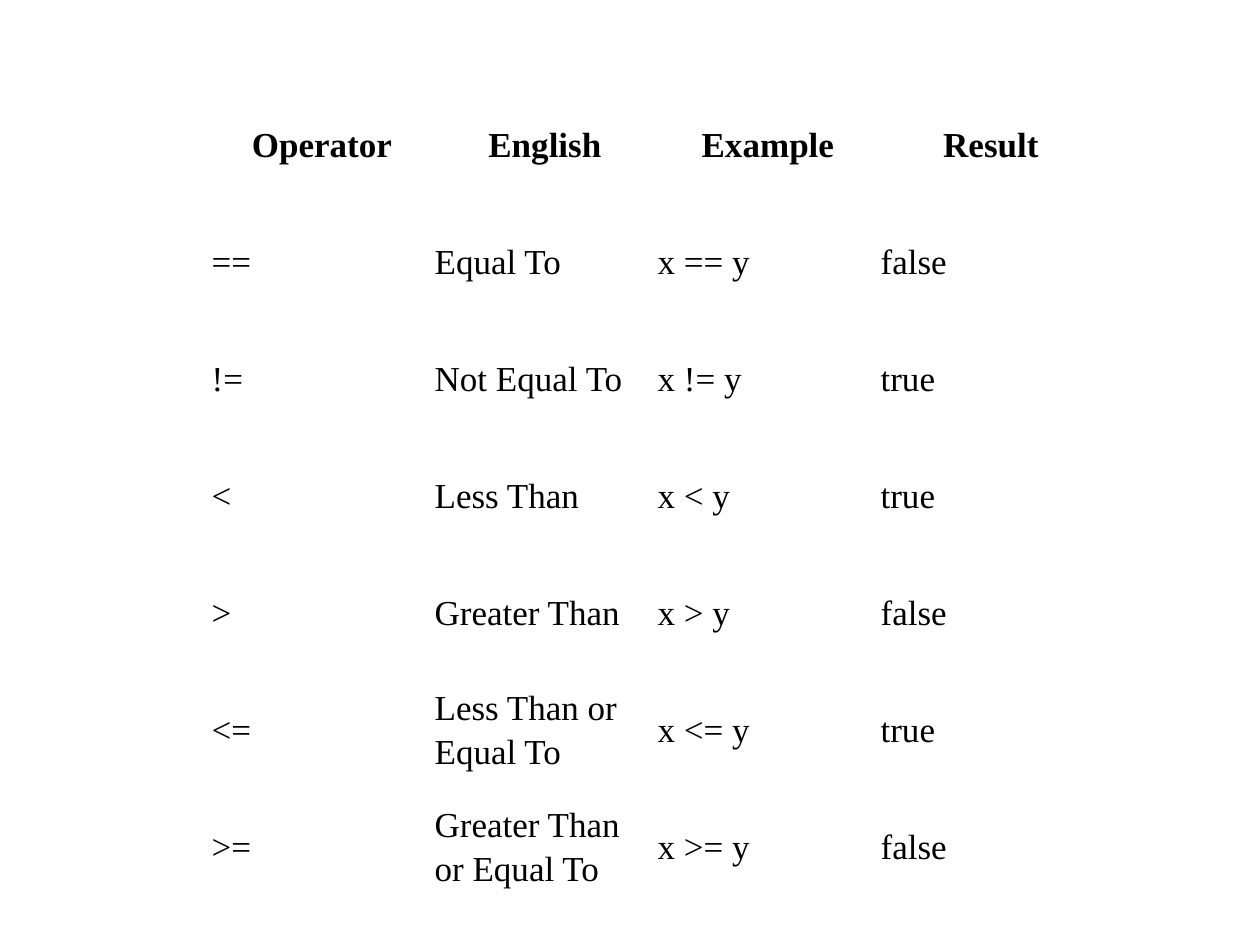
from typing import NamedTuple

from pptx import Presentation
from pptx.dml.color import RGBColor
from pptx.enum.text import MSO_ANCHOR, PP_ALIGN
from pptx.util import Inches, Pt

BLACK = RGBColor(0x00, 0x00, 0x00)
WHITE = RGBColor(0xFF, 0xFF, 0xFF)
FONT = "Times New Roman"


class Comparison(NamedTuple):
    operator: str
    english: str
    example: str
    result: str


HEADER = Comparison("Operator", "English", "Example", "Result")
COMPARISONS = [
    Comparison("==", "Equal To", "x == y", "false"),
    Comparison("!=", "Not Equal To", "x != y", "true"),
    Comparison("<", "Less Than", "x < y", "true"),
    Comparison(">", "Greater Than", "x > y", "false"),
    Comparison("<=", "Less Than or Equal To", "x <= y", "true"),
    Comparison(">=", "Greater Than or Equal To", "x >= y", "false"),
]


def fill_cell(cell, text: str, is_header: bool) -> None:
    cell.fill.solid()
    cell.fill.fore_color.rgb = WHITE
    cell.vertical_anchor = MSO_ANCHOR.MIDDLE
    cell.margin_left = cell.margin_right = Inches(0.01)
    cell.margin_top = cell.margin_bottom = Inches(0.05)
    cell.text_frame.text = text
    p = cell.text_frame.paragraphs[0]
    p.alignment = PP_ALIGN.CENTER if is_header else PP_ALIGN.LEFT
    p.line_spacing = 1.15
    p.space_after = Pt(10)
    r = p.runs[0]
    r.font.name = FONT
    r.font.size = Pt(20)
    r.font.bold = is_header
    r.font.color.rgb = BLACK


def add_operator_table(s, rows: list[Comparison]) -> None:
    table = s.shapes.add_table(
        len(rows), len(HEADER), Inches(1.67), Inches(0.67), Inches(7.08), Inches(6.5)
    ).table
    table.horz_banding = False
    for i, row in enumerate(rows):
        for j, text in enumerate(row):
            fill_cell(table.cell(i, j), text, is_header=i == 0)


def main() -> None:
    prs = Presentation()
    prs.slide_width = Inches(10)
    prs.slide_height = Inches(7.5)
    s = prs.slides.add_slide(prs.slide_layouts[6])
    add_operator_table(s, [HEADER, *COMPARISONS])
    prs.save("out.pptx")


if __name__ == "__main__":
    main()
